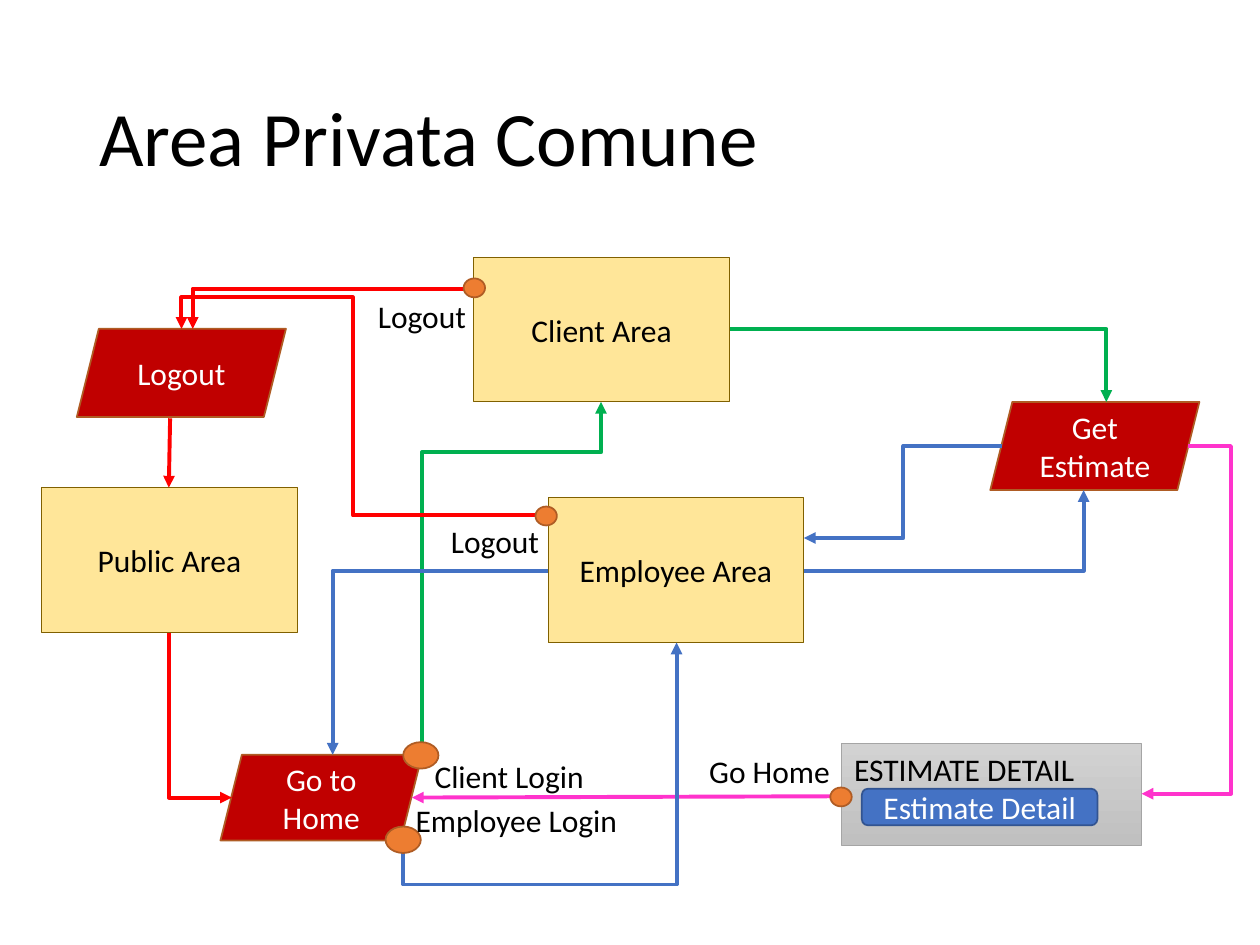
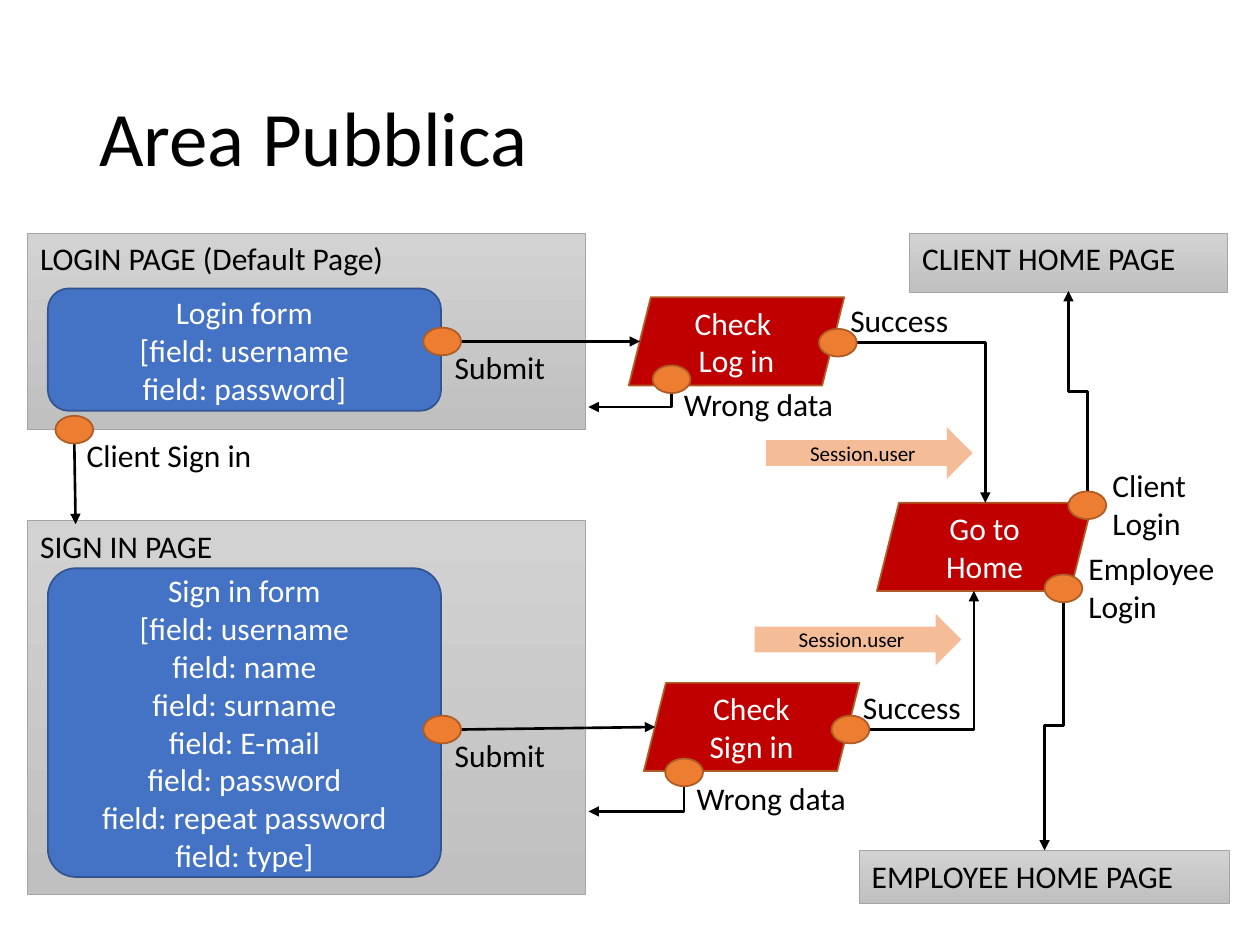
from lxml.etree import SubElement
from pptx import Presentation
from pptx.dml.color import RGBColor
from pptx.enum.shapes import MSO_CONNECTOR, MSO_SHAPE
from pptx.enum.text import MSO_ANCHOR, PP_ALIGN
from pptx.oxml.ns import qn
from pptx.util import Inches, Pt

FONT = "Calibri"
BLACK = RGBColor(0x00, 0x00, 0x00)
WHITE = RGBColor(0xFF, 0xFF, 0xFF)
ACTION_RED = RGBColor(0xC0, 0x00, 0x00)
PORT_ORANGE = RGBColor(0xED, 0x7D, 0x31)
ORANGE_EDGE = RGBColor(0xAF, 0x5C, 0x24)
AREA_YELLOW = RGBColor(0xFF, 0xE6, 0x99)
AREA_EDGE = RGBColor(0x80, 0x60, 0x00)
FORM_BLUE = RGBColor(0x44, 0x72, 0xC4)
FORM_EDGE = RGBColor(0x32, 0x54, 0x91)
PAGE_TOP = RGBColor(0xD2, 0xD2, 0xD2)
PAGE_BOTTOM = RGBColor(0xC0, 0xC0, 0xC0)
PAGE_EDGE = RGBColor(0xA5, 0xA5, 0xA5)
LINK_RED = RGBColor(0xFF, 0x00, 0x00)
LINK_GREEN = RGBColor(0x00, 0xB0, 0x50)
LINK_PINK = RGBColor(0xFF, 0x33, 0xCC)

AREA_SIZE = (2.03, 1.15)


# Text
def write(shape, text, color=BLACK, size=18, align=PP_ALIGN.CENTER,
          anchor=MSO_ANCHOR.MIDDLE):
    frame = shape.text_frame
    frame.word_wrap = True
    frame.vertical_anchor = anchor
    frame.text = text
    for paragraph in frame.paragraphs:
        paragraph.alignment = align
        paragraph.font.name = FONT
        paragraph.font.size = Pt(size)
        paragraph.font.color.rgb = color


def add_label(slide, text, left, top, width, height=0.4):
    box = slide.shapes.add_textbox(*map(Inches, (left, top, width, height)))
    write(box, text, align=PP_ALIGN.LEFT, anchor=MSO_ANCHOR.TOP)


def add_title(slide, text):
    box = slide.shapes.add_textbox(*map(Inches, (0.69, 0.4, 8.62, 1.45)))
    write(box, text, size=44, align=PP_ALIGN.LEFT)
    box.text_frame.paragraphs[0].line_spacing = 0.9


# Diagram nodes
def add_node(slide, kind, bounds, fill, edge=None, edge_width=1):
    shape = slide.shapes.add_shape(kind, *map(Inches, bounds))
    shape.shadow.inherit = False
    if fill is not None:
        shape.fill.solid()
        shape.fill.fore_color.rgb = fill
    if edge is None:
        shape.line.fill.background()
    else:
        shape.line.color.rgb = edge
        shape.line.width = Pt(edge_width)
    return shape


def add_action(slide, text, *bounds):
    shape = add_node(slide, MSO_SHAPE.PARALLELOGRAM, bounds, ACTION_RED, ORANGE_EDGE)
    write(shape, text, WHITE)


def add_area(slide, text, left, top):
    shape = add_node(slide, MSO_SHAPE.RECTANGLE, (left, top, *AREA_SIZE),
                     AREA_YELLOW, AREA_EDGE, 0.5)
    write(shape, text)


def add_page(slide, text, *bounds):
    shape = add_node(slide, MSO_SHAPE.RECTANGLE, bounds, None, PAGE_EDGE, 0.5)
    shape.fill.gradient()
    shape.fill.gradient_angle = 270
    for stop, color in zip(shape.fill.gradient_stops, (PAGE_TOP, PAGE_BOTTOM)):
        stop.color.rgb = color
    write(shape, text, align=PP_ALIGN.LEFT, anchor=MSO_ANCHOR.TOP)


def add_form(slide, lines, *bounds, corner=0.17):
    shape = add_node(slide, MSO_SHAPE.ROUNDED_RECTANGLE, bounds, FORM_BLUE, FORM_EDGE)
    shape.adjustments[0] = corner
    write(shape, "\n".join(lines), WHITE)


def add_port(slide, left, top, width=0.3, height=0.22):
    add_node(slide, MSO_SHAPE.OVAL, (left, top, width, height), PORT_ORANGE, ORANGE_EDGE)


def add_session_arrow(slide, left, top):
    shape = add_node(slide, MSO_SHAPE.RIGHT_ARROW, (left, top, 1.64, 0.41), PORT_ORANGE)
    color = shape.element.spPr.find(qn("a:solidFill"))[0]
    SubElement(color, qn("a:alpha"), val="50000")
    write(shape, "Session.user", size=12)


# Links
def bend(connector, points):
    """Turn a connector into a right-angled route through the points."""
    (x0, y0), (x1, y1) = points[0], points[-1]
    across, down = x1 - x0, y1 - y0
    if points[0][1] == points[1][1]:  # leaves sideways
        width, height = abs(across), abs(down)
        turn = 180 if across < 0 else 0
        flip_h, flip_v = False, (down < 0) != (across < 0)
        ratios = [(points[1][0] - x0) / across, (points[-2][1] - y0) / down]
    else:  # leaves up or down
        width, height = abs(down), abs(across)
        flip_h, flip_v = down < 0, across > 0
        turn = 90
        if flip_h != flip_v:
            turn, flip_h, flip_v = 270, not flip_h, not flip_v
        ratios = [(points[1][1] - y0) / down, (points[-2][0] - x0) / across]

    connector.left = Inches((x0 + x1 - width) / 2)
    connector.top = Inches((y0 + y1 - height) / 2)
    connector.width, connector.height = Inches(width), Inches(height)
    properties = connector.element.spPr
    frame = properties.find(qn("a:xfrm"))
    frame.set("rot", str(turn * 60000))
    frame.set("flipH", str(int(flip_h)))
    frame.set("flipV", str(int(flip_v)))

    segments = len(points) - 1
    geometry = properties.find(qn("a:prstGeom"))
    geometry.set("prst", f"bentConnector{segments}")
    guides = geometry.find(qn("a:avLst"))
    if guides is None:
        guides = SubElement(geometry, qn("a:avLst"))
    for number, ratio in enumerate(ratios[:segments - 2], 1):
        SubElement(guides, qn("a:gd"), name=f"adj{number}",
                   fmla=f"val {round(ratio * 100000)}")


def add_link(slide, points, color=BLACK, width=1.5):
    straight = len(points) == 2
    kind = MSO_CONNECTOR.STRAIGHT if straight else MSO_CONNECTOR.ELBOW
    ends = (*points[0], *points[-1])
    connector = slide.shapes.add_connector(kind, *map(Inches, ends))
    if not straight:
        bend(connector, points)
    connector.line.color.rgb = color
    connector.line.width = Pt(width)
    properties = connector.element.spPr
    SubElement(properties.find(qn("a:ln")), qn("a:tailEnd"), type="triangle")
    SubElement(properties, qn("a:effectLst"))


# Slides
def build_private_area(slide):
    add_title(slide, "Area Privata Comune")
    add_action(slide, "Go to Home", 1.75, 5.99, 1.6, 0.68)
    add_action(slide, "Get Estimate", 7.86, 3.19, 1.66, 0.7)
    add_action(slide, "Logout", 0.61, 2.61, 1.66, 0.7)
    add_page(slide, "ESTIMATE DETAIL", 6.68, 5.9, 2.38, 0.81)
    add_form(slide, ["Estimate Detail"], 6.84, 6.26, 1.87, 0.29)
    add_area(slide, "Public Area", 0.33, 3.87)
    add_area(slide, "Client Area", 3.76, 2.04)
    add_area(slide, "Employee Area", 4.35, 3.95)

    links = [
        (LINK_GREEN, [(5.79, 2.61), (8.78, 2.61), (8.78, 3.19)]),
        (FORM_BLUE, [(6.38, 4.53), (8.6, 4.53), (8.6, 3.89)]),
        (FORM_BLUE, [(7.95, 3.54), (7.17, 3.54), (7.17, 4.27), (6.38, 4.27)]),
        (LINK_PINK, [(9.43, 3.54), (9.77, 3.54), (9.77, 6.3), (9.06, 6.3)]),
        (LINK_PINK, [(6.59, 6.32), (3.27, 6.33)]),
        (FORM_BLUE, [(3.2, 6.77), (3.2, 7.02), (5.37, 7.02), (5.37, 5.1)]),
        (LINK_GREEN, [(3.35, 5.89), (3.35, 3.59), (4.77, 3.59), (4.77, 3.19)]),
        (LINK_RED, [(3.68, 2.29), (1.53, 2.29), (1.53, 2.61)]),
        (LINK_RED, [(4.25, 4.09), (2.8, 4.09), (2.8, 2.36), (1.44, 2.36), (1.44, 2.61)]),
        (LINK_RED, [(1.35, 3.32), (1.34, 3.87)]),
        (LINK_RED, [(1.34, 5.02), (1.34, 6.33), (1.84, 6.33)]),
        (FORM_BLUE, [(4.35, 4.53), (2.64, 4.53), (2.64, 5.99)]),
    ]
    for color, points in links:
        add_link(slide, points, color, 2.25)

    for left, top in [(3.06, 6.56), (3.2, 5.89)]:
        add_port(slide, left, top, 0.28, 0.21)
    for left, top in [(6.59, 6.25), (3.68, 2.21), (4.25, 4.02)]:
        add_port(slide, left, top, 0.17, 0.15)
    add_label(slide, "Employee Login", 3.2, 6.31, 2.31)
    add_label(slide, "Client Login", 3.35, 5.96, 1.92)
    add_label(slide, "Go Home", 5.53, 5.92, 1.18)
    add_label(slide, "Logout", 2.9, 2.31, 1.02)
    add_label(slide, "Logout", 3.48, 4.09, 1.02)


def build_public_area(slide):
    add_title(slide, "Area Pubblica")
    add_page(slide, "LOGIN PAGE (Default Page)", 0.22, 1.85, 4.43, 1.56)
    add_page(slide, "SIGN IN PAGE", 0.22, 4.13, 4.43, 2.97)
    add_page(slide, "CLIENT HOME PAGE", 7.22, 1.85, 2.52, 0.47)
    add_page(slide, "EMPLOYEE HOME PAGE", 6.82, 6.75, 2.94, 0.42)
    add_form(slide, ["Login form", "[field: username", "field: password]"],
             0.38, 2.29, 3.12, 0.97)
    add_form(slide, ["Sign in form", "[field: username", "field: name",
                     "field: surname", "field: E-mail", "field: password",
                     "field: repeat password", "field: type]"],
             0.38, 4.51, 3.12, 2.45, corner=0.09)
    for text, left, top in [("Check \vLog in", 4.99, 2.36),
                            ("Check Sign in", 5.11, 5.42),
                            ("Go to Home", 6.96, 3.99)]:
        add_action(slide, text, left, top, 1.71, 0.7)
    add_session_arrow(slide, 6.08, 3.39)
    add_session_arrow(slide, 5.99, 4.87)

    links = [
        [(0.59, 3.52), (0.6, 4.16)],
        [(3.66, 5.79), (5.2, 5.77)],
        [(3.66, 2.71), (5.08, 2.71)],
        [(5.43, 6.24), (5.43, 6.44), (4.67, 6.44)],
        [(5.33, 3.12), (5.33, 3.23), (4.67, 3.23)],
        [(6.8, 2.72), (7.82, 2.72), (7.82, 3.99)],
        [(6.9, 5.79), (7.73, 5.79), (7.73, 4.69)],
        [(8.63, 3.9), (8.63, 3.11), (8.48, 3.11), (8.48, 2.31)],
        [(8.44, 4.78), (8.44, 5.76), (8.29, 5.76), (8.29, 6.75)],
    ]
    for points in links:
        add_link(slide, points)

    # Each port has its label beside it, shifted down or up
    ports = [
        ("Client Sign in", 0.44, 3.3, 0.11, 1.73),
        ("Submit", 3.36, 5.68, 0.11, 1.73),
        ("Submit", 3.36, 2.6, 0.11, 1.73),
        ("Wrong data", 5.28, 6.02, 0.11, 1.73),
        ("Wrong data", 5.18, 2.9, 0.11, 1.73),
        ("Success", 6.5, 2.61, -0.27, 1.73),
        ("Success", 6.6, 5.68, -0.27, 1.73),
    ]
    for text, left, top, shift, width in ports:
        add_port(slide, left, top)
        add_label(slide, text, left + 0.15, top + shift, width)
    for text, left, top, width in [("Employee Login", 8.29, 4.56, 1.4),
                                   ("Client Login", 8.48, 3.9, 1.26)]:
        add_port(slide, left, top)
        add_label(slide, text, left + 0.25, top - 0.25, width, 0.71)


def main():
    presentation = Presentation()
    presentation.slide_width = Inches(10)
    presentation.slide_height = Inches(7.5)
    for build in (build_private_area, build_public_area):
        build(presentation.slides.add_slide(presentation.slide_layouts[6]))
    presentation.save("out.pptx")


if __name__ == "__main__":
    main()
